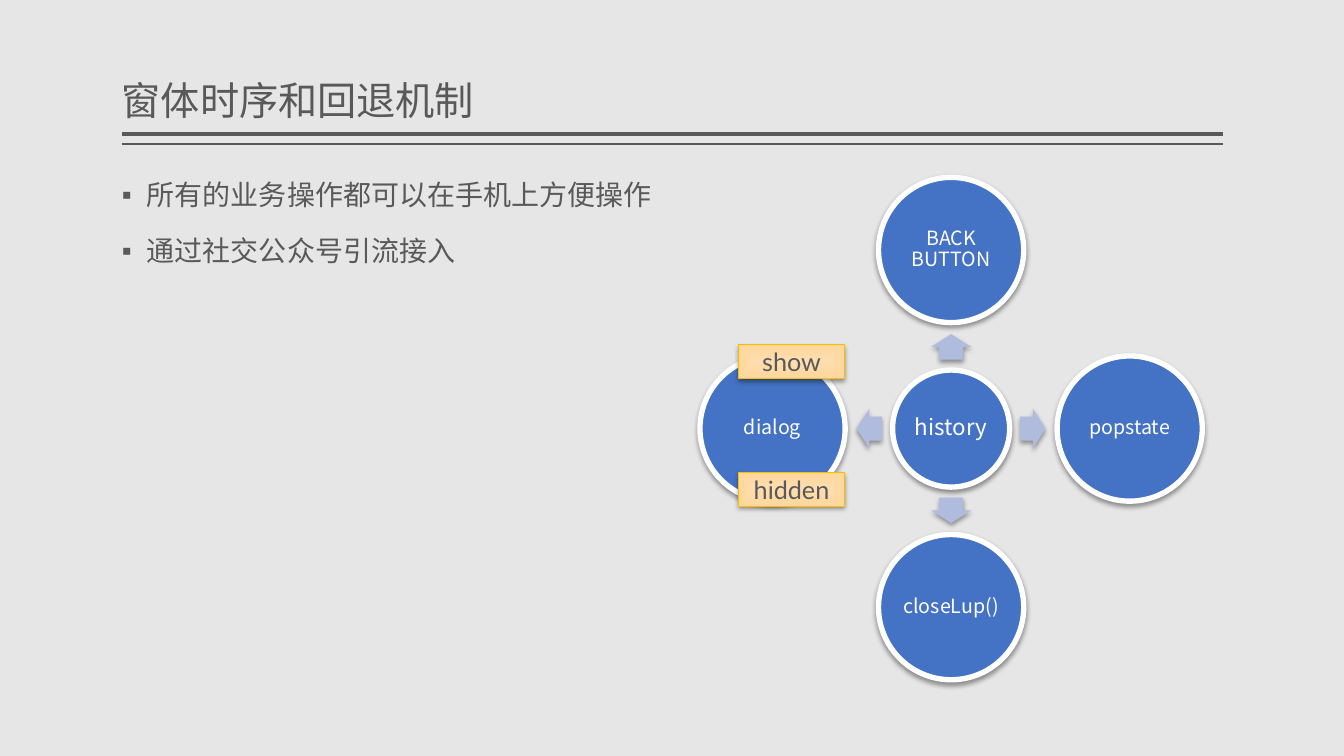
"""Build the slide on window sequence and the back mechanism."""
import math
from dataclasses import dataclass

import lxml.etree
import pptx
import pptx.dml.color
import pptx.enum.dml
import pptx.enum.shapes
import pptx.enum.text
import pptx.oxml
import pptx.oxml.ns
import pptx.util

Cm, Pt = pptx.util.Cm, pptx.util.Pt
qn = pptx.oxml.ns.qn
SHAPE = pptx.enum.shapes.MSO_SHAPE
ALIGN = pptx.enum.text.PP_ALIGN
ANCHOR = pptx.enum.text.MSO_ANCHOR

GREY, WHITE, BLUE, PALE = "595959", "FFFFFF", "4472C4", "B0BCDE"
CJK = "Noto Sans CJK SC"
LEFT, RIGHT = 3.07, 30.81
CX, CY = 23.97, 10.8
HUB_SIZE, NODE_SIZE = 2.95, 3.66
NODE_DIST, ARROW_DIST = 4.5, 2.06


@dataclass
class Node:
    text: str
    angle: int


@dataclass
class Tag:
    text: str
    top: float


@dataclass
class Rule:
    y: float
    width: float


NODES = [Node("BACK BUTTON", 270), Node("popstate", 0), Node("closeLup()", 90), Node("dialog", 180)]
TAGS = [Tag("show", 8.69), Tag("hidden", 11.91)]
RULES = [Rule(3.38, 3), Rule(3.63, 1)]
BULLETS = ["所有的业务操作都可以在手机上方便操作", "通过社交公众号引流接入"]


def rgb(color: str) -> pptx.dml.color.RGBColor:
    """Turn a hex string into a colour."""
    return pptx.dml.color.RGBColor.from_string(color)


def add_run(p, text: str, size: float, font: str, color: str) -> None:
    """Add one formatted run to a paragraph."""
    r = p.add_run()
    r.text = text
    r.font.size = Pt(size)
    r.font.color.rgb = rgb(color)
    r.font.name = font
    lxml.etree.SubElement(r.font._element, qn("a:ea"), typeface=CJK)


def set_frame(tf, anchor, x: float, y: float) -> None:
    """Set the wrapping, anchor and insets of a text frame."""
    tf.word_wrap = True
    tf.auto_size = pptx.enum.text.MSO_AUTO_SIZE.NONE
    tf.vertical_anchor = anchor
    tf.margin_left = tf.margin_right = Cm(x)
    tf.margin_top = tf.margin_bottom = Cm(y)


def place(sp, left: float, top: float, width: float, height: float) -> None:
    """Move and size a placeholder."""
    sp.left, sp.top, sp.width, sp.height = Cm(left), Cm(top), Cm(width), Cm(height)


def add_shadow(sp) -> None:
    """Give a shape a soft shadow that falls straight down."""
    sp.shadow.inherit = False
    effects = sp._element.spPr.find(qn("a:effectLst"))
    shadow = lxml.etree.SubElement(
        effects, qn("a:outerShdw"), blurRad=str(Pt(3.5)), dist=str(Pt(2)),
        dir="5400000", algn="ctr", rotWithShape="0")
    color = lxml.etree.SubElement(shadow, qn("a:srgbClr"), val="000000")
    lxml.etree.SubElement(color, qn("a:alpha"), val="38000")


def add_centred(slide, kind, x: float, y: float, width: float, height: float):
    """Add a shadowed shape around a centre point."""
    sp = slide.shapes.add_shape(
        kind, Cm(x - width / 2), Cm(y - height / 2), Cm(width), Cm(height))
    add_shadow(sp)
    return sp


def add_circle(slide, text: str, x: float, y: float, diameter: float, size: float) -> None:
    """Add a blue circle with a white rim and a label."""
    sp = add_centred(slide, SHAPE.OVAL, x, y, diameter, diameter)
    sp.fill.solid()
    sp.fill.fore_color.rgb = rgb(BLUE)
    sp.line.color.rgb = rgb(WHITE)
    sp.line.width = Pt(3.82)
    set_frame(sp.text_frame, ANCHOR.MIDDLE, 0.05, 0.05)
    p = sp.text_frame.paragraphs[0]
    p.alignment = ALIGN.CENTER
    p.line_spacing = 0.9
    add_run(p, text, size, CJK, WHITE)


def add_spoke(slide, node: Node) -> None:
    """Add an outer circle and the arrow that leads to it."""
    dx, dy = math.cos(math.radians(node.angle)), math.sin(math.radians(node.angle))
    sp = add_centred(slide, SHAPE.RIGHT_ARROW, CX + ARROW_DIST * dx,
                     CY + ARROW_DIST * dy, 0.64, 1.01)
    sp.rotation = node.angle
    sp.adjustments[0], sp.adjustments[1] = 0.6, 0.5
    sp.fill.solid()
    sp.fill.fore_color.rgb = rgb(PALE)
    sp.line.fill.background()
    add_circle(slide, node.text, CX + NODE_DIST * dx, CY + NODE_DIST * dy, NODE_SIZE, 14)


def add_tag(slide, tag: Tag) -> None:
    """Add an orange label with a gradient from its centre."""
    sp = add_centred(slide, SHAPE.RECTANGLE, 19.95, tag.top + 0.42, 2.67, 0.84)
    sp.fill.gradient()
    for stop, color in zip(sp.fill.gradient_stops, ["FFDDAF", "FFD79B"]):
        stop.color.rgb = rgb(color)
    grad = sp._element.spPr.find(qn("a:gradFill"))
    grad.remove(grad.find(qn("a:lin")))
    route = lxml.etree.SubElement(grad, qn("a:path"), {"path": "rect"})
    lxml.etree.SubElement(route, qn("a:fillToRect"), dict.fromkeys("ltrb", "50000"))
    sp.line.color.rgb = rgb("F9BC00")
    sp.line.width = Pt(0.5)
    set_frame(sp.text_frame, ANCHOR.MIDDLE, 0.25, 0.13)
    p = sp.text_frame.paragraphs[0]
    p.alignment = ALIGN.CENTER
    add_run(p, tag.text, 18, "Lato", GREY)


def add_rule(slide, rule: Rule) -> None:
    """Add a line under the title."""
    line = slide.shapes.add_connector(
        pptx.enum.shapes.MSO_CONNECTOR.STRAIGHT, Cm(LEFT), Cm(rule.y), Cm(RIGHT), Cm(rule.y))
    line.line.color.rgb = rgb(GREY)
    line.line.width = Pt(rule.width)
    lxml.etree.SubElement(line._element.spPr, qn("a:effectLst"))


def fill_title(sp) -> None:
    """Write the title."""
    place(sp, LEFT, 0.2, RIGHT - LEFT, 3.05)
    set_frame(sp.text_frame, ANCHOR.BOTTOM, 0, 0.13)
    p = sp.text_frame.paragraphs[0]
    p.alignment = ALIGN.LEFT
    p.line_spacing = 0.9
    add_run(p, "窗体时序和回退机制", 28, "Arial", GREY)


def fill_body(sp) -> None:
    """Write the bulleted list."""
    place(sp, LEFT, 4.45, 13.67, 12.7)
    tf = sp.text_frame
    set_frame(tf, ANCHOR.TOP, 0, 0.13)
    for i, text in enumerate(BULLETS):
        p = tf.add_paragraph() if i else tf.paragraphs[0]
        p.line_spacing = 0.9
        p.space_before = Pt(18)
        pPr = p._p.get_or_add_pPr()
        pPr.set("marL", str(Cm(0.63)))
        pPr.set("indent", str(Cm(-0.63)))
        lxml.etree.SubElement(pPr, qn("a:buFont"), typeface="Arial")
        lxml.etree.SubElement(pPr, qn("a:buChar"), char="▪")
        add_run(p, text, 20, "Lato", GREY)


def main() -> None:
    """Build and save the presentation."""
    prs = pptx.Presentation()
    prs.slide_width, prs.slide_height = Cm(33.87), Cm(19.05)
    slide = prs.slides.add_slide(prs.slide_layouts[1])
    slide.background.fill.solid()
    slide.background.fill.fore_color.rgb = rgb("E7E6E6")
    fill_title(slide.shapes.title)
    fill_body(slide.placeholders[1])
    for rule in RULES:
        add_rule(slide, rule)
    add_circle(slide, "history", CX, CY, HUB_SIZE, 16)
    for node in NODES:
        add_spoke(slide, node)
    for tag in TAGS:
        add_tag(slide, tag)
    prs.save("out.pptx")


if __name__ == "__main__":
    main()
